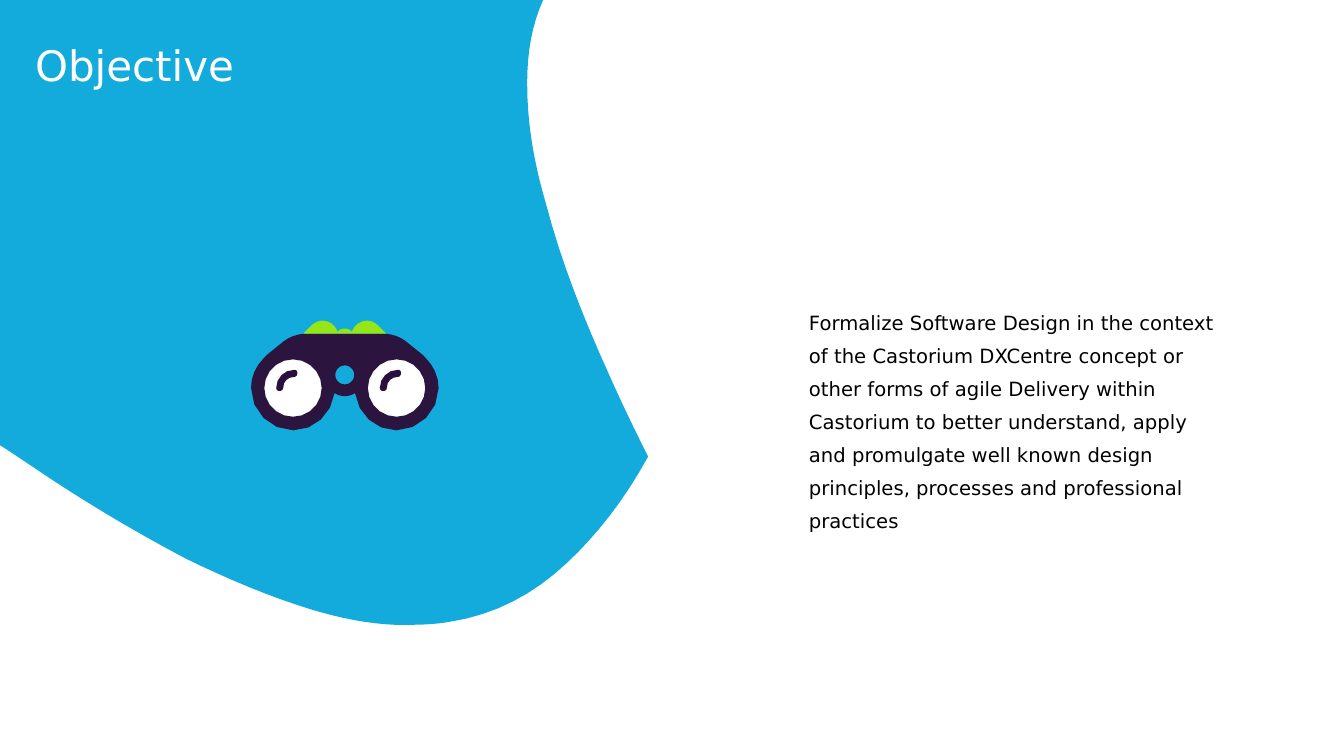
from math import cos, pi, sin

from pptx import Presentation
from pptx.dml.color import RGBColor
from pptx.enum.shapes import MSO_SHAPE
from pptx.enum.text import MSO_ANCHOR, MSO_AUTO_SIZE, PP_ALIGN
from pptx.oxml.ns import qn
from pptx.util import Pt

FONT = "DejaVu Sans"
BLUE, WHITE, BLACK = "12ABDB", "FFFFFF", "000000"
PURPLE, DARK_PURPLE, GREEN = "2B143D", "2B0F3C", "95E616"

AXIS = 246.3  # vertical line of symmetry of the binoculars
LENS_X, LENS_Y = 209.3, 277.2
GLINT_SHIFT = 74

# An outline is a start point followed by lines (x, y)
# and cubic curves (x1, y1, x2, y2, x, y).
BLOB = [
    (388, 0),
    (380, 18, 376.6, 37, 376.6, 59.8),
    (376.6, 88, 381.5, 117, 390.2, 146.2),
    (401, 187.2, 416.9, 227.5, 434.9, 267.1),
    (443.5, 286.6, 452.9, 306, 463, 326.2),
    (446.4, 356.4, 427, 381.6, 404.6, 402.5),
    (381.6, 424, 354.2, 439.2, 321.1, 444.2),
    (308.9, 446.4, 295.2, 446.4, 283.7, 446.4),
    (262.8, 445.7, 242.6, 441.4, 223.2, 435.6),
    (192.2, 426.2, 162, 413.3, 132.5, 398.9),
    (92.9, 378, 54.7, 355, 18, 329.8),
    (-0.7, 317.5),
    (-0.7, 0),
]
LEFT_BODY = [
    (217.4, 238.3),
    (211.7, 239, 206.6, 240.5, 202.3, 244.1),
    (190.8, 253.4),
    (188.6, 255.6),
    (182.9, 261.4, 179.3, 268.6, 179.3, 277.2),
    (179.3, 293.8, 193, 307.4, 209.5, 307.4),
    (224.6, 307.4, 236.9, 295.9, 239, 280.8),
    (241.2, 282.2, 243.4, 283, AXIS, 283),
]
LEFT_KNOBS = [
    (216.7, 238.3),
    (223.2, 231.8),
    (225.4, 230.4, 227.5, 229, 230.4, 229),
    (235.4, 229, 239.8, 232.6, 241.2, 236.9),
    (242.6, 235.4, 244.4, 234.7, AXIS, 234.7),
]
GLINT = [
    (199.4, 279.4),
    (198.7, 279.4, 197.3, 278.6, 197.3, 277.2),
    (197.3, 270, 203, 264.2, 210.2, 264.2),
    (211.7, 264.2, 212.4, 265, 212.4, 266.4),
    (212.4, 267.8, 211.7, 269.3, 210.2, 269.3),
    (205.9, 269.3, 202.3, 272.2, 202.3, 277.2),
    (202.3, 278.6, 200.9, 279.4, 199.4, 279.4),
]


def color(value):
    return RGBColor.from_string(value)


def flatten(outline, steps=4):
    """Turn lines and cubic curves into a list of points."""
    points = [outline[0]]
    for segment in outline[1:]:
        if len(segment) == 2:
            points.append(segment)
            continue
        x0, y0 = points[-1]
        x1, y1, x2, y2, x3, y3 = segment
        for i in range(1, steps + 1):
            t = i / steps
            a, b, c, d = (1 - t) ** 3, 3 * t * (1 - t) ** 2, 3 * t * t * (1 - t), t ** 3
            points.append((a * x0 + b * x1 + c * x2 + d * x3,
                           a * y0 + b * y1 + c * y2 + d * y3))
    return points


def mirrored(half):
    """Complete a left half with its reflection in AXIS."""
    points = flatten(half)
    return points + [(2 * AXIS - x, y) for x, y in reversed(points[:-1])]


def circle(cx, cy, r, steps=20):
    """Points of a circle, to cut a hole."""
    angles = [2 * pi * i / steps for i in range(steps)]
    return [(cx + r * cos(a), cy - r * sin(a)) for a in angles]


def paint(sp, fill):
    sp.shadow.inherit = False
    sp.fill.solid()
    sp.fill.fore_color.rgb = color(fill)
    sp.line.fill.background()


def add_outline(s, fill, *contours):
    builder = None
    for contour in contours:
        points = [(Pt(x), Pt(y)) for x, y in contour]
        if builder is None:
            builder = s.shapes.build_freeform(*points[0], scale=1.0)
        else:
            builder.move_to(*points[0])
        builder.add_line_segments(points[1:], close=True)
    paint(builder.convert_to_shape(), fill)


def add_lens(s, cx, cy, r):
    sp = s.shapes.add_shape(MSO_SHAPE.OVAL, Pt(cx - r), Pt(cy - r), Pt(2 * r), Pt(2 * r))
    paint(sp, WHITE)


def add_binoculars(s):
    lens_xs = (LENS_X, 2 * AXIS - LENS_X)
    for x in lens_xs:
        add_lens(s, x, LENS_Y, 22.9)
    holes = [circle(x, LENS_Y, 20.5) for x in lens_xs]
    add_outline(s, PURPLE, mirrored(LEFT_BODY), *holes, circle(AXIS, 267.8, 6.8))
    for shift in (0, GLINT_SHIFT):
        add_outline(s, DARK_PURPLE, [(x + shift, y) for x, y in flatten(GLINT)])
    add_outline(s, GREEN, mirrored(LEFT_KNOBS))


def set_text(sp, text, *, box, size, fill, spacing):
    """Place a placeholder and give it one plain left-aligned paragraph."""
    sp.left, sp.top, sp.width, sp.height = (Pt(v) for v in box)
    tf = sp.text_frame
    tf.word_wrap = True
    tf.auto_size = MSO_AUTO_SIZE.NONE
    tf.vertical_anchor = MSO_ANCHOR.TOP
    p = tf.paragraphs[0]
    p.alignment = PP_ALIGN.LEFT
    p.line_spacing = spacing
    p.space_before = Pt(0)
    pPr = p._p.get_or_add_pPr()
    pPr.set("marL", "0")
    pPr.set("indent", "0")
    pPr.append(pPr.makeelement(qn("a:buNone"), {}))
    r = p.add_run()
    r.text = text
    r.font.name = FONT
    r.font.size = Pt(size)
    r.font.color.rgb = color(fill)


def main():
    prs = Presentation()
    prs.slide_width, prs.slide_height = Pt(960), Pt(540)
    s = prs.slides.add_slide(prs.slide_layouts[1])
    title, body = s.shapes.title, s.placeholders[1]

    set_text(body, "Formalize Software Design in the context of the Castorium DXCentre "
             "concept or other forms of agile Delivery within Castorium to better "
             "understand, apply and promulgate well known design principles, processes "
             "and professional practices",
             box=(570.6, 211.9, 306.7, 175.7), size=14, fill=BLACK, spacing=1.4)
    add_outline(s, BLUE, flatten(BLOB, steps=8))
    add_binoculars(s)
    set_text(title, "Objective", box=(17.8, 28.8, 398.9, 139), size=30, fill=WHITE, spacing=0.9)
    title.element.getparent().append(title.element)  # bring in front of the blue area

    prs.save("out.pptx")


if __name__ == "__main__":
    main()
